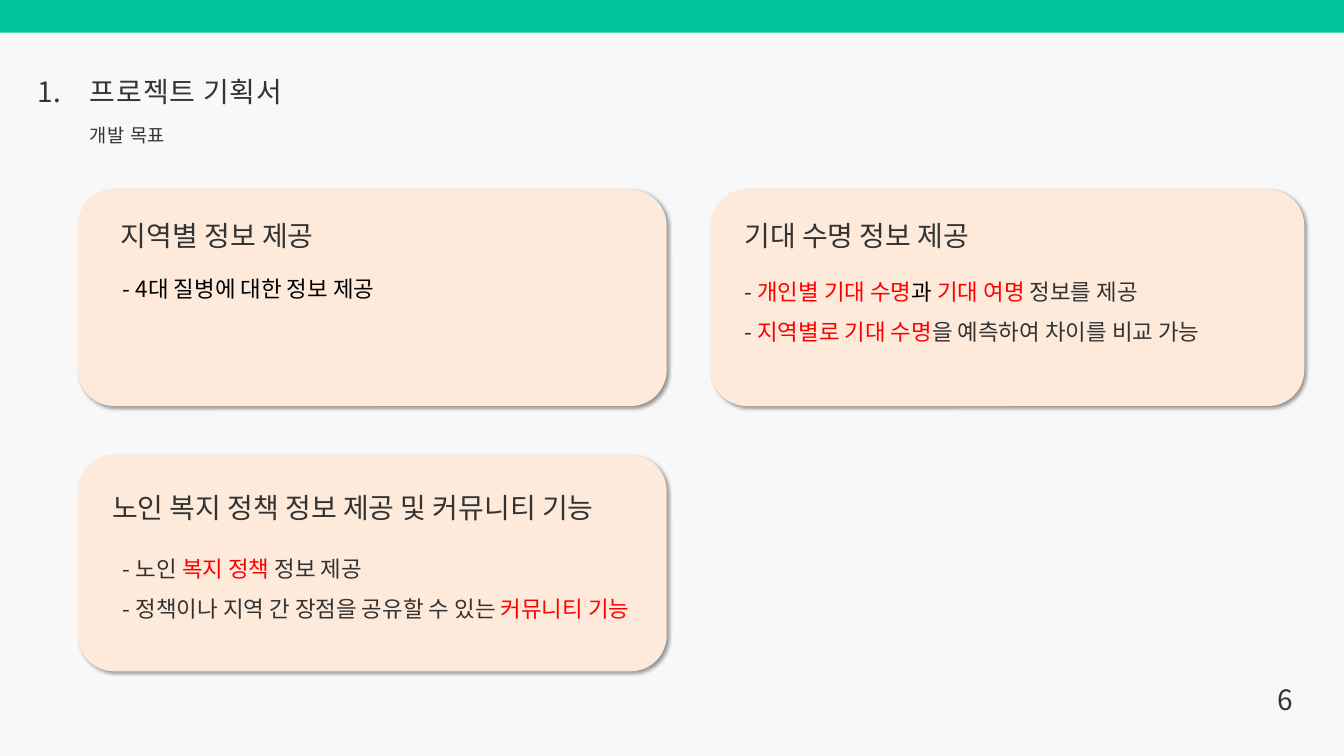
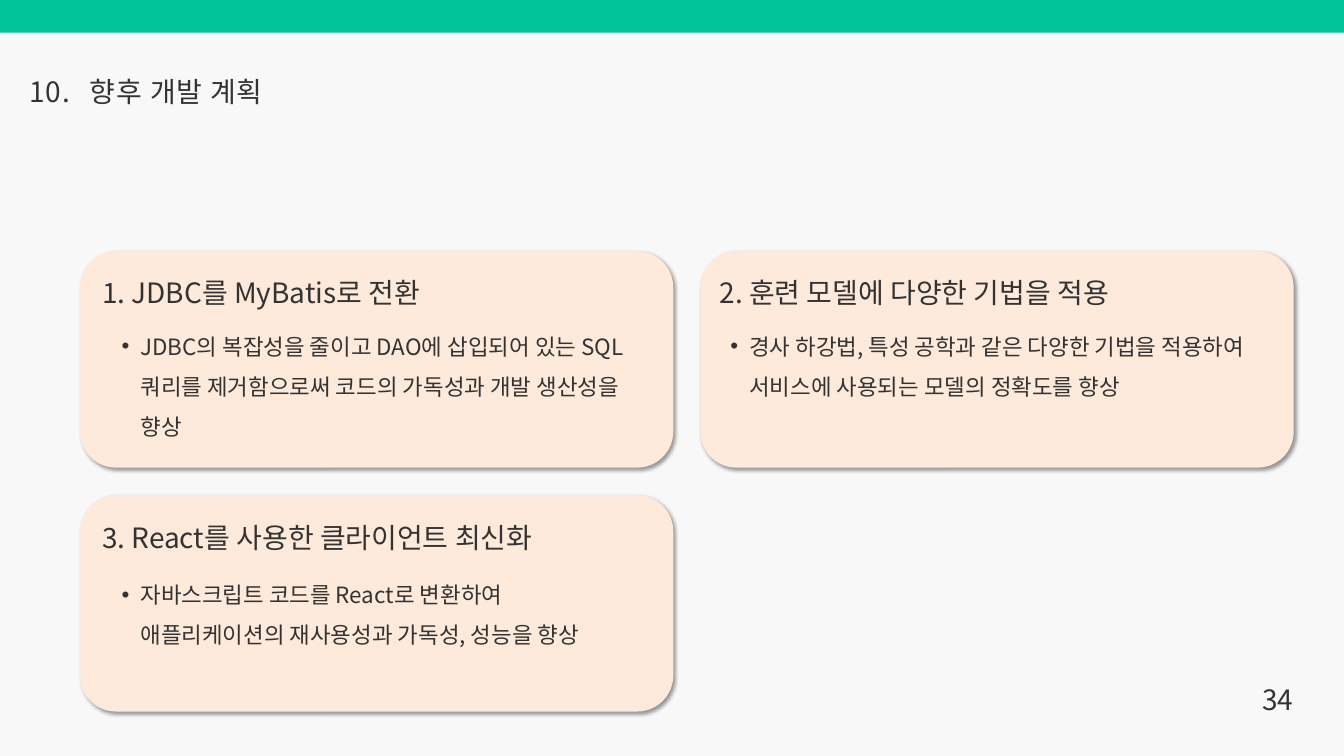
from typing import NamedTuple

from lxml import etree
from pptx import Presentation
from pptx.dml.color import RGBColor
from pptx.enum.shapes import MSO_SHAPE
from pptx.enum.text import MSO_AUTO_SIZE, PP_ALIGN
from pptx.oxml import parse_xml
from pptx.oxml.ns import nsdecls, qn
from pptx.util import Cm, Pt

RECT, ROUND = MSO_SHAPE.RECTANGLE, MSO_SHAPE.ROUNDED_RECTANGLE
LEFT, CENTER, RIGHT = PP_ALIGN.LEFT, PP_ALIGN.CENTER, PP_ALIGN.RIGHT
GROW = MSO_AUTO_SIZE.SHAPE_TO_FIT_TEXT

FONT = "Noto Sans CJK KR"
COLORS = {
    "page": "F8F8F8",
    "band": "00C49A",
    "card": "FDEADA",
    "text": "333333",
    "accent": "FF0000",
    "black": "000000",
}
SLIDE_W, SLIDE_H, BAND_H = 50.8, 28.58, 1.24
CARD_H = 8.18
TITLE_TOP, TITLE_LEFT = 2.82, 3.4


class Style(NamedTuple):
    size: float
    leading: float
    align: PP_ALIGN = LEFT
    spc: int = 0
    bullet: bool = False


class Box(NamedTuple):
    left: float
    top: float
    width: float
    height: float


class Run(NamedTuple):
    text: str
    color: str = "text"


class Card(NamedTuple):
    box: Box
    head_box: Box
    head: str
    body_box: Box
    body: list[list[Run]]


class Page(NamedTuple):
    index: str
    title: str
    subtitle: str
    number: str
    body_style: Style
    cards: list[Card]


TITLE = Style(30, 36, spc=90)
INDEX = TITLE._replace(align=CENTER)
SUBTITLE = Style(20, 24, spc=60)
HEAD = Style(30, 48)
NUMBER = HEAD._replace(align=RIGHT)
DASHED = Style(24, 43.2)
BULLETED = DASHED._replace(bullet=True)


def goal_card(left: float, top: float, width: float, head_box: Box, head: str,
              body_left: float, body_top: float, body: list[list[Run]]) -> Card:
    body_box = Box(body_left, body_top, 19.48, 1.54 * len(body))
    return Card(Box(left, top, width, CARD_H), head_box, head, body_box, body)


def plan_card(left: float, top: float, inset: float, head_drop: float,
              body_inset: float, body_drop: float, head: str, text: str) -> Card:
    return Card(
        Box(left, top, 22.43, CARD_H),
        Box(left + inset, top + head_drop, 20.73, 1.7), head,
        Box(left + body_inset, top + body_drop, 20.73, 2.9), [[Run(text)]],
    )


PAGES = [
    Page("1.", "프로젝트 기획서", "개발 목표", "6", DASHED, [
        goal_card(2.95, 7.17, 22.25, Box(4.57, 7.82, 10.62, 1.7), "지역별 정보 제공",
                  4.65, 9.91, [[Run("- 4대 질병에 대한 정보 제공", "black")]]),
        goal_card(26.87, 7.17, 22.43, Box(28.14, 7.82, 10.62, 1.55), "기대 수명 정보 제공",
                  28.14, 10.01, [
                      [Run("- "), Run("개인별 기대 수명", "accent"), Run("과", "black"),
                       Run(" 기대 여명 ", "accent"), Run("정보를 제공")],
                      [Run("- "), Run("지역별로 기대 수명", "accent"),
                       Run("을 예측하여 차이를 비교 가능")],
                  ]),
        goal_card(2.95, 17.2, 22.25, Box(4.24, 18.14, 19.46, 1.7),
                  "노인 복지 정책 정보 제공 및 커뮤니티 기능",
                  4.65, 20.47, [
                      [Run("- 노인 "), Run("복지 정책", "accent"), Run(" 정보 제공")],
                      [Run("- 정책이나 지역 간 장점을 공유할 수 있는 "),
                       Run("커뮤니티 기능", "accent")],
                  ]),
    ]),
    Page("10.", "향후 개발 계획", "", "34", BULLETED, [
        plan_card(3.02, 9.5, 0.84, 0.51, 0.84, 2.57, "1. JDBC를 MyBatis로 전환",
                  "JDBC의 복잡성을 줄이고 DAO에 삽입되어 있는 SQL 쿼리를 제거함으로써 "
                  "코드의 가독성과 개발 생산성을 향상"),
        plan_card(26.47, 9.5, 0.73, 0.51, 0.4, 2.57, "2. 훈련 모델에 다양한 기법을 적용",
                  "경사 하강법, 특성 공학과 같은 다양한 기법을 적용하여 "
                  "서비스에 사용되는 모델의 정확도를 향상"),
        plan_card(3.02, 18.72, 0.84, 0.53, 0.84, 2.74, "3. React를 사용한 클라이언트 최신화",
                  "자바스크립트 코드를 React로 변환하여 "
                  "애플리케이션의 재사용성과 가독성, 성능을 향상"),
    ]),
]


def rgb(name: str) -> RGBColor:
    return RGBColor.from_string(COLORS[name])


def add_shape(s, kind: MSO_SHAPE, box: Box, color: str):
    sp = s.shapes.add_shape(kind, *map(Cm, box))
    sp.shadow.inherit = False
    sp.fill.solid()
    sp.fill.fore_color.rgb = rgb(color)
    sp.line.fill.background()
    return sp


def add_shadow(sp) -> None:
    effects = sp._element.spPr.find(qn("a:effectLst"))
    effects.append(parse_xml(
        f'<a:outerShdw {nsdecls("a")} blurRad="50800" dist="38100" dir="2700000" '
        f'algn="tl" rotWithShape="0"><a:srgbClr val="{COLORS["black"]}">'
        '<a:alpha val="40000"/></a:srgbClr></a:outerShdw>'))


def add_bullet(p) -> None:
    p.level = 1
    pPr = p._p.get_or_add_pPr()
    pPr.set("marL", str(Cm(1.45)))
    pPr.set("indent", str(-Cm(0.71)))
    etree.SubElement(pPr, qn("a:buFont"), typeface="Arial")
    etree.SubElement(pPr, qn("a:buChar"), char="•")


def add_text(s, box: Box, lines: list[list[Run]], style: Style) -> None:
    tf = s.shapes.add_textbox(*map(Cm, box)).text_frame
    frame = {"word_wrap": True, "auto_size": GROW, "margin_left": 0,
             "margin_top": 0, "margin_right": 0, "margin_bottom": 0}
    for name, value in frame.items():
        setattr(tf, name, value)
    for i, line in enumerate(lines):
        p = tf.add_paragraph() if i else tf.paragraphs[0]
        if style.bullet:
            add_bullet(p)
        p.alignment = style.align
        p.line_spacing = Pt(style.leading)
        for run in line:
            r = p.add_run()
            r.text = run.text
            for name, value in {"name": FONT, "size": Pt(style.size)}.items():
                setattr(r.font, name, value)
            r.font.color.rgb = rgb(run.color)
            rPr = r._r.get_or_add_rPr()
            etree.SubElement(rPr, qn("a:ea"), typeface=FONT)
            if style.spc:
                rPr.set("spc", str(style.spc))


def add_card(s, card: Card, body_style: Style) -> None:
    add_shadow(add_shape(s, ROUND, card.box, "card"))
    add_text(s, card.head_box, [[Run(card.head)]], HEAD)
    add_text(s, card.body_box, card.body, body_style)


def add_page(prs, page: Page) -> None:
    s = prs.slides.add_slide(prs.slide_layouts[6])
    s.background.fill.solid()
    s.background.fill.fore_color.rgb = rgb("page")
    add_shape(s, RECT, Box(0, 0, SLIDE_W, BAND_H), "band")
    labels = [
        (Box(0.91, TITLE_TOP, 1.93, 1.3), page.index, INDEX),
        (Box(TITLE_LEFT, TITLE_TOP, 29.41, 1.3), page.title, TITLE),
        (Box(TITLE_LEFT, 4.67, 10.82, 0.84), page.subtitle, SUBTITLE),
        (Box(46.99, 25.37, 1.9, 1.55), page.number, NUMBER),
    ]
    for box, text, style in labels:
        if text:
            add_text(s, box, [[Run(text)]], style)
    for card in page.cards:
        add_card(s, card, page.body_style)


def main() -> None:
    prs = Presentation()
    prs.slide_width, prs.slide_height = Cm(SLIDE_W), Cm(SLIDE_H)
    for page in PAGES:
        add_page(prs, page)
    prs.save("out.pptx")


if __name__ == "__main__":
    main()
